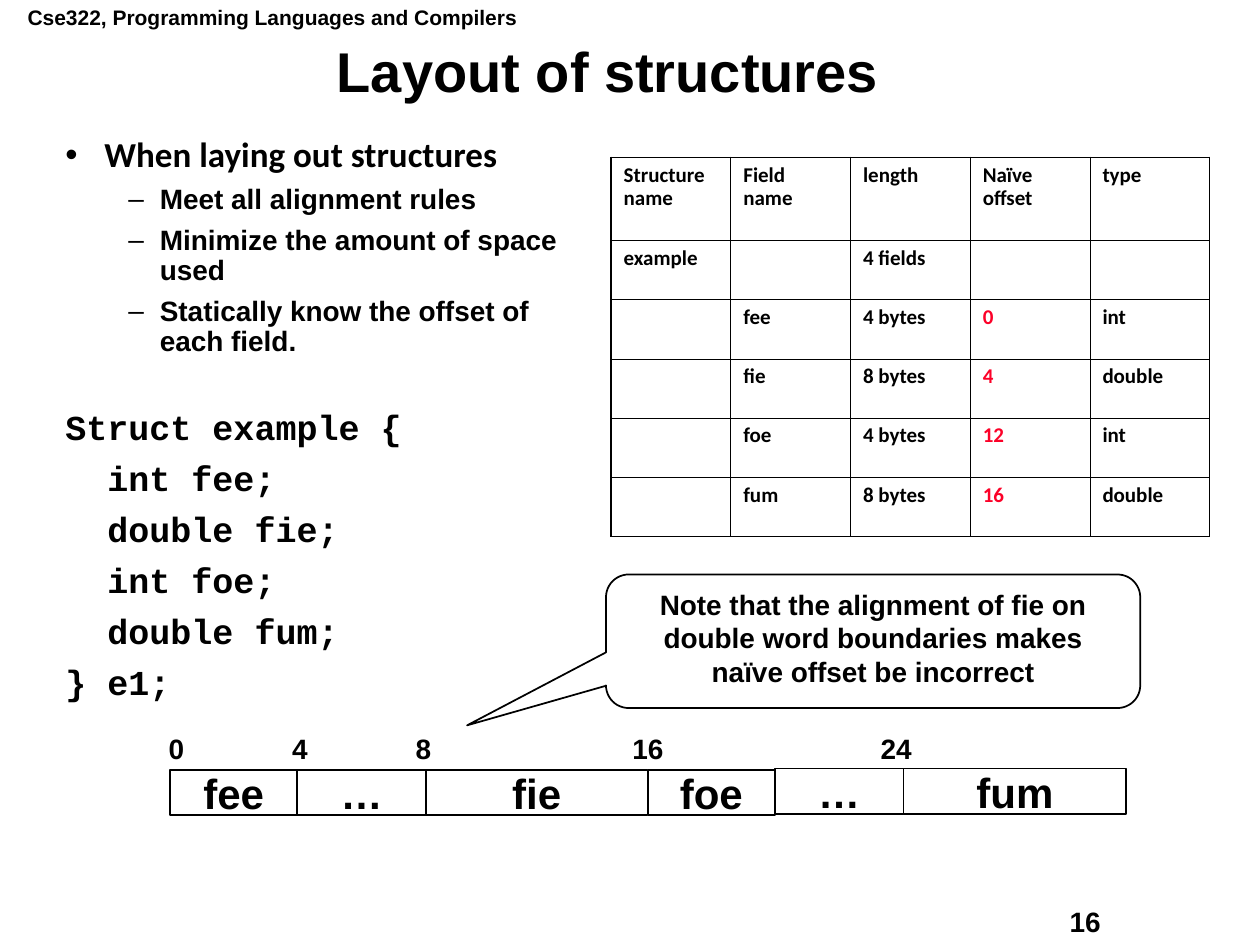
import pptx
import pptx.dml.color
import pptx.enum.shapes
import pptx.enum.text
import pptx.oxml.ns
import pptx.util
from lxml import etree

Inches, Pt = pptx.util.Inches, pptx.util.Pt
SHAPE = pptx.enum.shapes.MSO_SHAPE
LEFT, CENTER = pptx.enum.text.PP_ALIGN.LEFT, pptx.enum.text.PP_ALIGN.CENTER
TOP, MIDDLE = pptx.enum.text.MSO_ANCHOR.TOP, pptx.enum.text.MSO_ANCHOR.MIDDLE
BLACK, WHITE, RED = "000000", "FFFFFF", "FC0128"

# Content: text, font, size, bullet, margin, indent, space before
LEVEL_2 = ("Arial", 16, "–", 0.75, -0.25, 6)
CODE = ("Courier New", 20, None, 0, 0, 7.5)
BODY = [
    ("When laying out structures", "Calibri", 20, "•", 0.31, -0.31, 0),
    ("Meet all alignment rules", *LEVEL_2),
    ("Minimize the amount of space used", *LEVEL_2),
    ("Statically know the offset of each field.", *LEVEL_2),
    ("Struct example {", *CODE[:-1], 30),
    ("  int fee;", *CODE),
    ("  double fie;", *CODE),
    ("  int foe;", *CODE),
    ("  double fum;", *CODE),
    ("} e1;", *CODE),
]
FIELDS = [
    ("Structure name", "Field name", "length", "Naïve offset", "type"),
    ("example", "", "4 fields", "", ""),
    ("", "fee", "4 bytes", "0", "int"),
    ("", "fie", "8 bytes", "4", "double"),
    ("", "foe", "4 bytes", "12", "int"),
    ("", "fum", "8 bytes", "16", "double"),
]
OFFSET_COL = 3
COL_W, HEADER_H, ROW_H = 0.95, 0.66, 0.47

# Memory strip: name and top of each block, with the shared edges
BLOCKS = [("fee", 6.11), ("…", 6.11), ("fie", 6.11),
          ("foe", 6.11), ("…", 6.1), ("fum", 6.1)]
EDGES = [1.35, 2.36, 3.38, 5.14, 6.15, 7.17, 8.94]
OFFSETS = ["0", "4", "8", "16", "24"]
OFFSET_TABS = [0.98, 1.96, 3.68, 5.65]


def rgb(value):
    return pptx.dml.color.RGBColor.from_string(value)


def add_xml(parent, tag, **attrs):
    el = etree.SubElement(parent, pptx.oxml.ns.qn(tag))
    for name, value in attrs.items():
        el.set(name, str(value))
    return el


def style(p, size, font="Arial", color=BLACK):
    for r in p.runs:
        r.font.name, r.font.size, r.font.bold = font, Pt(size), True
        r.font.color.rgb = rgb(color)


def write(sp, text, size, align=LEFT, anchor=TOP, wrap=True):
    tf = sp.text_frame
    tf.text = text
    tf.word_wrap, tf.vertical_anchor = wrap, anchor
    p = tf.paragraphs[0]
    p.alignment = align
    style(p, size)
    return p


def add_text(at, *args, **kwargs):
    sp = s.shapes.add_textbox(*map(Inches, at))
    return write(sp, *args, **kwargs)


def add_box(kind, at):
    sp = s.shapes.add_shape(kind, *map(Inches, at))
    sp.shadow.inherit = False
    sp.fill.solid()
    sp.fill.fore_color.rgb = rgb(WHITE)
    sp.line.color.rgb = rgb(BLACK)
    sp.line.width = Pt(1)
    return sp


def set_borders(cell, outer):
    """Heavier line on the sides listed in outer."""
    tc_pr = cell._tc.get_or_add_tcPr()
    for i, side in enumerate("LRTB"):
        width = Pt(1.08 if side in outer else 0.45)
        ln = etree.Element(pptx.oxml.ns.qn(f"a:ln{side}"), w=str(int(width)))
        add_xml(add_xml(ln, "a:solidFill"), "a:srgbClr", val=BLACK)
        tc_pr.insert(i, ln)


prs = pptx.Presentation()
prs.slide_width, prs.slide_height = Inches(10), Inches(7.5)
s = prs.slides.add_slide(prs.slide_layouts[6])

# Course name, page number and title
add_text((0.12, -0.01, 4.09, 0.3),
         "Cse322, Programming Languages and Compilers", 12, wrap=False)
add_text((8.39, 7.13, 1.27, 0.36), "16", 16)
p = add_text((0.31, 0.31, 9.03, 0.56), "Layout of structures", 32, CENTER, MIDDLE)
p.line_spacing = 0.9

# Bullets and code
tf = s.shapes.add_textbox(*map(Inches, (0.42, 1.04, 4.38, 4.62))).text_frame
tf.word_wrap = True
for i, (text, font, size, bullet, margin, indent, before) in enumerate(BODY):
    p = tf.add_paragraph() if i else tf.paragraphs[0]
    p.text = text
    pPr = p._p.get_or_add_pPr()
    pPr.set("marL", str(Inches(margin)))
    pPr.set("indent", str(Inches(indent)))
    if bullet:
        add_xml(pPr, "a:buFont", typeface="Arial")
        add_xml(pPr, "a:buChar", char=bullet)
    p.line_spacing = 0.9
    if before:
        p.space_before = Pt(before)
    style(p, size, font)

# Field table
n_rows, n_cols = len(FIELDS), len(FIELDS[0])
heights = [HEADER_H] + [ROW_H] * (n_rows - 1)
table = s.shapes.add_table(n_rows, n_cols, Inches(4.85), Inches(1.25),
                           Inches(COL_W * n_cols), Inches(sum(heights))).table
table.first_row = table.horz_banding = False
for col in table.columns:
    col.width = Inches(COL_W)
for i, values in enumerate(FIELDS):
    table.rows[i].height = Inches(heights[i])
    for j, value in enumerate(values):
        cell = table.cell(i, j)
        cell.text = value
        cell.fill.background()
        p = cell.text_frame.paragraphs[0]
        p.line_spacing = 0.9
        style(p, 12, "Calibri", RED if i and j == OFFSET_COL else BLACK)
        set_borders(cell, "L" * (j == 0) + "R" * (j == n_cols - 1)
                    + "T" * (i == 0) + "B" * (i == n_rows - 1))

# Memory strip
for (name, top), left, right in zip(BLOCKS, EDGES, EDGES[1:]):
    sp = add_box(SHAPE.RECTANGLE, (left, top, right - left, 0.36))
    write(sp, name, 24, CENTER, MIDDLE, wrap=False)

# Byte offsets above the strip
p = add_text((1.24, 5.76, 7.57, 0.37), "\t".join(OFFSETS), 16)
tabs = add_xml(p._p.get_or_add_pPr(), "a:tabLst")
for pos in OFFSET_TABS:
    add_xml(tabs, "a:tab", pos=Inches(pos), algn="l")

# Callout
sp = add_box(SHAPE.ROUNDED_RECTANGULAR_CALLOUT, (4.81, 4.56, 4.24, 1.06))
for i, value in enumerate((-0.76, 0.63, 0.17)):
    sp.adjustments[i] = value
write(sp, "Note that the alignment of fie on double word boundaries makes "
          "naïve offset be incorrect", 16, CENTER)

prs.save("out.pptx")
